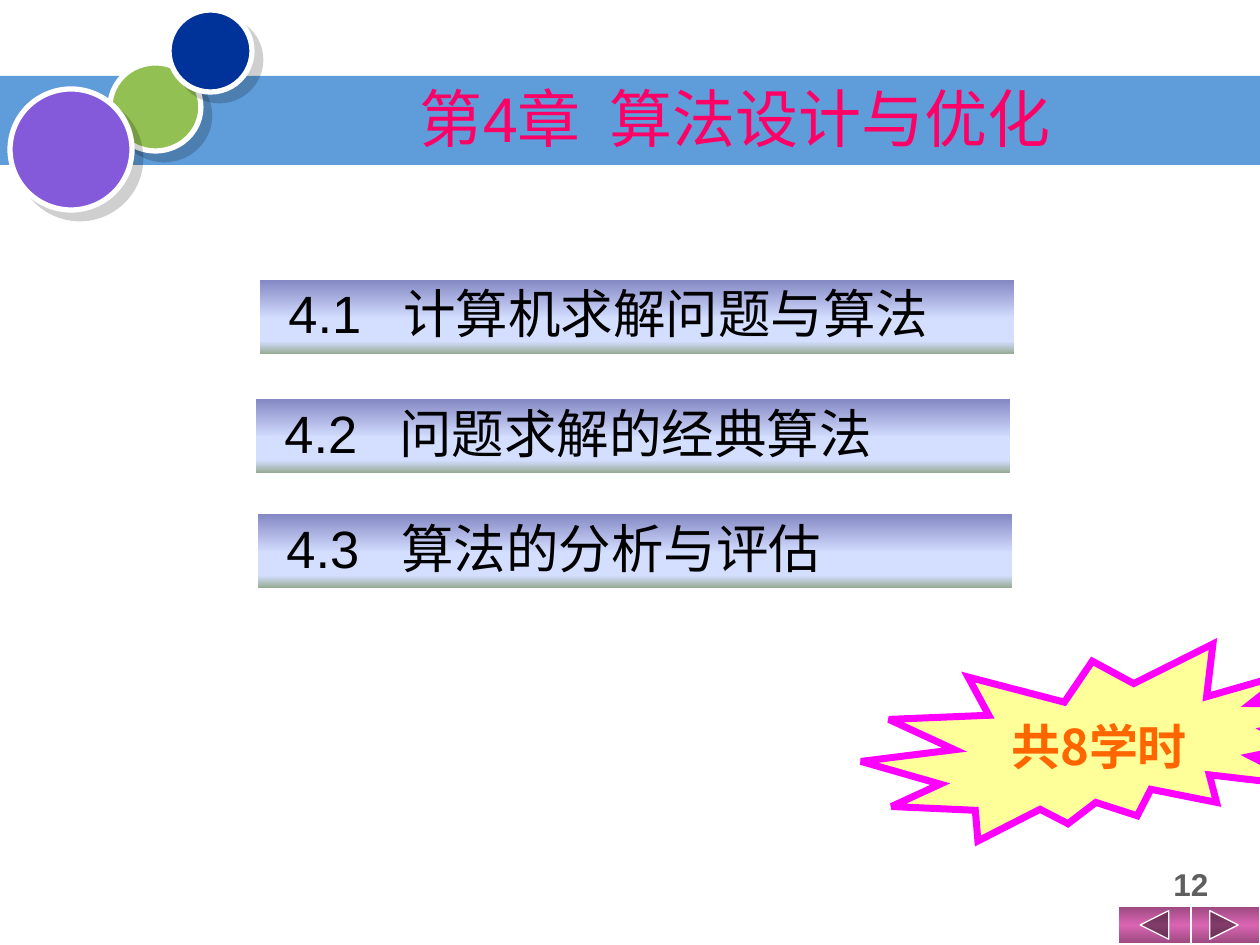
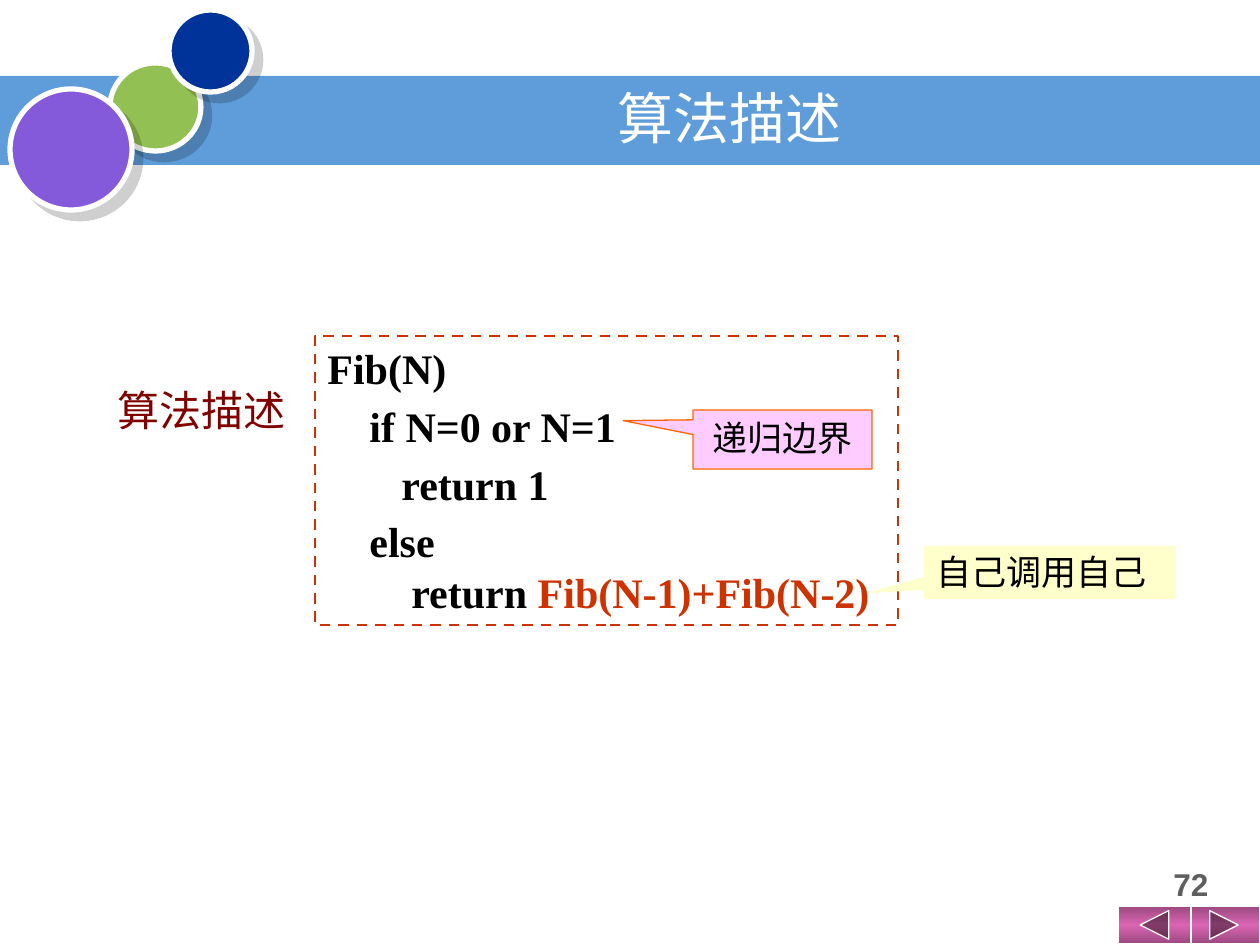
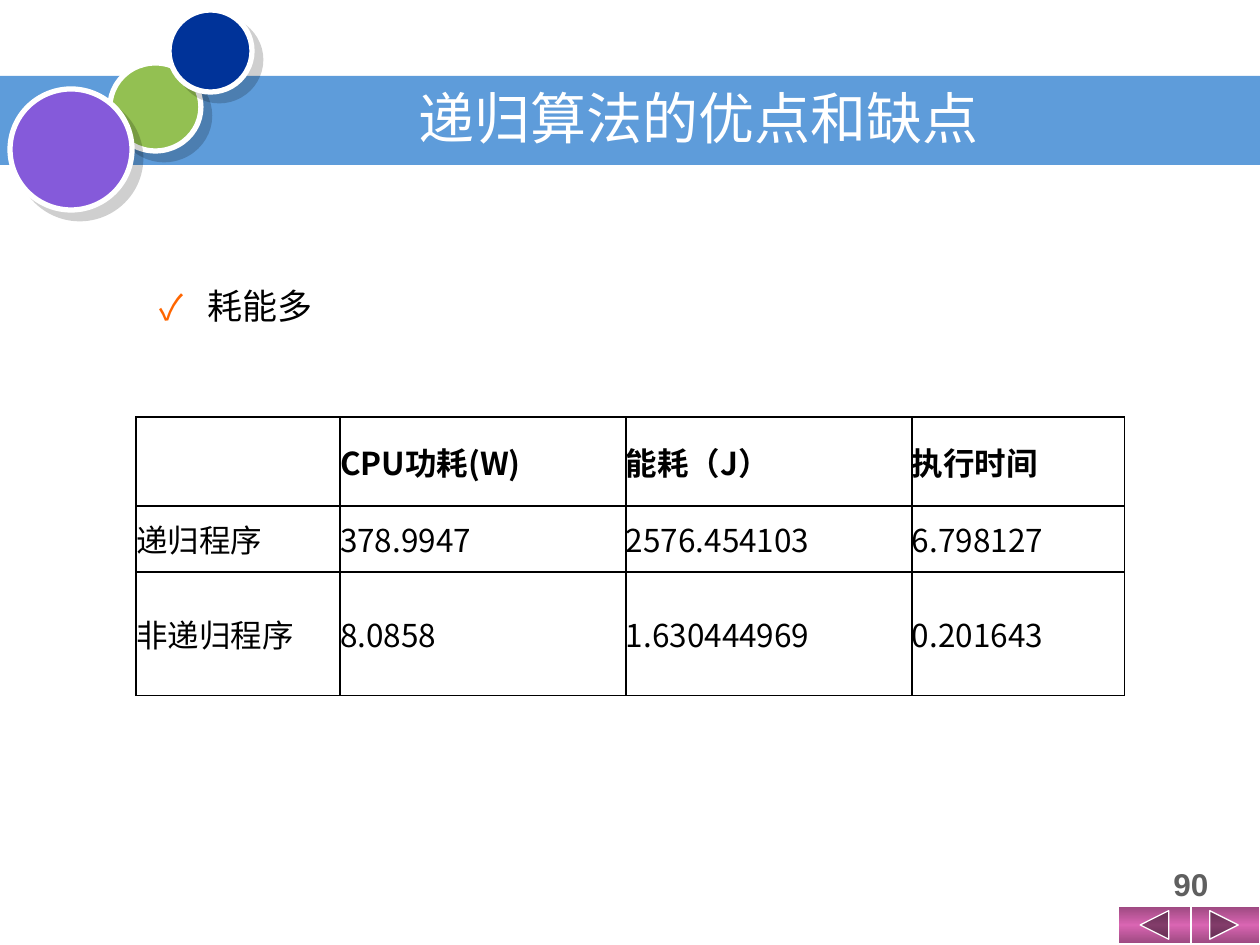
"""Build three slides on algorithm design: chapter contents, a recursive routine, its energy cost."""
from lxml import etree
from pptx import Presentation
from pptx.dml.color import RGBColor
from pptx.enum.dml import MSO_LINE
from pptx.enum.shapes import MSO_SHAPE
from pptx.enum.text import MSO_ANCHOR, PP_ALIGN
from pptx.oxml.ns import qn
from pptx.util import Pt

PX = 914400 / 126
SLIDE_W, SLIDE_H = 1260, 945

RECT, ELLIPSE = MSO_SHAPE.RECTANGLE, MSO_SHAPE.OVAL
SEAL, CALLOUT = MSO_SHAPE.EXPLOSION2, MSO_SHAPE.RECTANGULAR_CALLOUT
BACK, FORWARD = MSO_SHAPE.ACTION_BUTTON_BACK_OR_PREVIOUS, MSO_SHAPE.ACTION_BUTTON_FORWARD_OR_NEXT
LEFT, CENTER = PP_ALIGN.LEFT, PP_ALIGN.CENTER
TOP, MIDDLE, BOTTOM = MSO_ANCHOR.TOP, MSO_ANCHOR.MIDDLE, MSO_ANCHOR.BOTTOM
DASH = MSO_LINE.DASH

ARIAL, SERIF = "Arial", "Times New Roman"
HEI, HEI_JP = "Noto Sans CJK SC", "Noto Sans CJK JP"

BLACK = RGBColor(0x00, 0x00, 0x00)
WHITE = RGBColor(0xFF, 0xFF, 0xFF)
BAND_BLUE = RGBColor(0x5E, 0x9C, 0xDA)
GREEN = RGBColor(0x93, 0xC0, 0x52)
NAVY = RGBColor(0x00, 0x33, 0x99)
PURPLE = RGBColor(0x85, 0x5A, 0xDA)
PLUM = RGBColor(0x9B, 0x48, 0x7F)
PINK = RGBColor(0xD9, 0x65, 0xB2)
GREY = RGBColor(0x5F, 0x5F, 0x5F)
ROSE = RGBColor(0xFF, 0x00, 0x66)
SLATE = RGBColor(0x84, 0x88, 0xC4)
ICE = RGBColor(0xD4, 0xDE, 0xFF)
SAGE = RGBColor(0x96, 0xAB, 0x94)
YELLOW = RGBColor(0xFF, 0xFF, 0x99)
MAGENTA = RGBColor(0xFF, 0x00, 0xFF)
ORANGE = RGBColor(0xFF, 0x66, 0x00)
RUST = RGBColor(0xCC, 0x33, 0x00)
MAROON = RGBColor(0x80, 0x00, 0x00)
CREAM = RGBColor(0xFF, 0xFF, 0xCC)
LILAC = RGBColor(0xFF, 0xCC, 0xFF)

BUBBLES = [((110, 63, 91, 88), GREEN), ((169, 10, 83, 82), NAVY), ((10, 89, 122, 121), PURPLE)]
BUTTONS = [(FORWARD, (1188, 906, 72, 38)), (BACK, (1118, 906, 73, 38))]
BUTTON_STOPS = [(0, PLUM), (50, PINK), (100, PLUM)]
SECTION_STOPS = [(0, SLATE), (53, ICE), (83, ICE), (100, SAGE)]

SECTIONS = [
    ("4.1", "计算机求解问题与算法", (260, 280)),
    ("4.2", "问题求解的经典算法", (256, 399)),
    ("4.3", "算法的分析与评估", (258, 514)),
]
FIB_CODE = [
    (0, [("Fib(N)", BLACK)]),
    (42, [("if N=0 or N=1", BLACK)]),
    (74, [("return 1", BLACK)]),
    (42, [("else", BLACK)]),
    (84, [("return ", BLACK), ("Fib(N-1)+Fib(N-2)", RUST)]),
]
ENERGY_COLS = [204, 286, 286, 213]
ENERGY_ROWS = [89, 66, 124]
ENERGY = [
    ["", "CPU功耗(W)", "能耗（J）", "执行时间"],
    ["递归程序", "378.9947", "2576.454103", "6.798127"],
    ["非递归程序", "8.0858", "1.630444969", "0.201643"],
]


def px(length):
    return round(length * PX)


def box(bounds):
    return [px(length) for length in bounds]


def add_color(parent, color):
    return etree.SubElement(parent, qn("a:srgbClr"), val=str(color))


def add_figure(slide, kind, bounds, fill=None, line=None, width=0.75, stops=None):
    figure = slide.shapes.add_shape(kind, *box(bounds))
    figure.shadow.inherit = False
    if stops:
        set_gradient(figure, stops)
    elif fill is None:
        figure.fill.background()
    else:
        figure.fill.solid()
        figure.fill.fore_color.rgb = fill
    if line is None:
        figure.line.fill.background()
    else:
        figure.line.color.rgb = line
        figure.line.width = Pt(width)
    return figure


def set_gradient(figure, stops):
    figure.fill.gradient()
    figure.fill.gradient_angle = 270
    ramp = figure._element.spPr.find(qn("a:gradFill")).find(qn("a:gsLst"))
    for default in list(ramp):
        ramp.remove(default)
    for position, color in stops:
        add_color(etree.SubElement(ramp, qn("a:gs"), pos=str(position * 1000)), color)


def cast_shadow(figure):
    effects = figure._element.spPr.find(qn("a:effectLst"))
    shadow = etree.SubElement(effects, qn("a:outerShdw"), dist=str(Pt(7.1)), dir="2700000",
                              algn="ctr", rotWithShape="0")
    etree.SubElement(add_color(shadow, BLACK), qn("a:alpha"), val="19000")


def add_run(paragraph, text, size, color, font, bold=False):
    run = paragraph.add_run()
    run.text = text
    run.font.size = Pt(size)
    run.font.bold = bold
    run.font.color.rgb = color
    run.font.name = font
    east_asian = font if font in (HEI, HEI_JP) else HEI
    etree.SubElement(run._r.get_or_add_rPr(), qn("a:ea"), typeface=east_asian)
    return run


def set_indent(paragraph, margin, first=0):
    properties = paragraph._p.get_or_add_pPr()
    properties.set("marL", str(px(margin)))
    properties.set("indent", str(px(first)))
    return properties


def open_text(figure, align=LEFT, anchor=TOP, wrap=True):
    frame = figure.text_frame
    frame.word_wrap = wrap
    frame.vertical_anchor = anchor
    paragraph = frame.paragraphs[0]
    paragraph.alignment = align
    return paragraph


def add_label(slide, bounds, align=LEFT, anchor=TOP, wrap=True):
    return open_text(slide.shapes.add_textbox(*box(bounds)), align, anchor, wrap)


def add_base(deck, number, title_left, title_width):
    slide = deck.slides.add_slide(deck.slide_layouts[6])
    add_figure(slide, RECT, (0, 76, SLIDE_W, 89), BAND_BLUE)
    for bounds, color in BUBBLES:
        cast_shadow(add_figure(slide, ELLIPSE, bounds, color, WHITE, 3))
    for kind, bounds in BUTTONS:
        add_figure(slide, kind, bounds, line=WHITE, stops=BUTTON_STOPS)
    add_run(add_label(slide, (1122, 859, 138, 54), CENTER), number, 18, GREY, ARIAL, True)
    title = add_label(slide, (title_left, 84, title_width, 67), CENTER, MIDDLE)
    return slide, title


def build_contents(deck):
    slide, title = add_base(deck, "12", 231, 1008)
    add_run(title, "第4章", 36, ROSE, ARIAL)
    gap = add_run(title, " ", 36, ROSE, ARIAL)
    gap._r.get_or_add_rPr().set("spc", "800")
    add_run(title, "算法设计与优化", 36, ROSE, ARIAL)
    for number, topic, corner in SECTIONS:
        section = open_text(add_figure(slide, RECT, (*corner, 754, 74), stops=SECTION_STOPS))
        section.line_spacing = 0.95
        set_indent(section, 131, -115)
        add_run(section, f"{number}\t{topic}", 30, BLACK, ARIAL)
    hours = add_figure(slide, SEAL, (861, 644, 514, 197), YELLOW, MAGENTA, 4)
    etree.SubElement(hours._element.spPr.find(qn("a:ln")), qn("a:miter"), lim="800000")
    add_run(open_text(hours, CENTER, MIDDLE, False), "共8学时", 28, ORANGE, HEI_JP, True)


def build_fibonacci(deck):
    slide, title = add_base(deck, "72", 284, 892)
    add_run(title, "算法描述", 32, WHITE, HEI)
    listing = add_figure(slide, RECT, (315, 336, 583, 289), line=RUST, width=1.5)
    listing.line.dash_style = DASH
    line = open_text(listing)
    for index, (indent, pieces) in enumerate(FIB_CODE):
        if index:
            line = listing.text_frame.add_paragraph()
        line.alignment = LEFT
        line.space_before = Pt(4.3 if index < len(FIB_CODE) - 1 else 0)
        set_indent(line, indent)
        for text, color in pieces:
            add_run(line, text, 24, color, SERIF, True)
    add_run(add_label(slide, (105, 378, 195, 63), wrap=False), "算法描述", 24, MAROON, HEI)

    self_call = add_figure(slide, CALLOUT, (924, 546, 252, 53), CREAM)
    self_call.adjustments[0], self_call.adjustments[1] = -0.73, 0.39
    add_run(open_text(self_call, anchor=BOTTOM), "自己调用自己", 20, BLACK, HEI)
    base_case = add_figure(slide, CALLOUT, (693, 410, 179, 59), LILAC, ORANGE)
    base_case.adjustments[0], base_case.adjustments[1] = -0.89, -0.32
    add_run(open_text(base_case, CENTER), "递归边界", 20, BLACK, ARIAL)


def set_borders(cell):
    properties = cell._tc.get_or_add_tcPr()
    for index, side in enumerate(("a:lnL", "a:lnR", "a:lnT", "a:lnB")):
        border = etree.Element(qn(side), w=str(Pt(0.75)))
        add_color(etree.SubElement(border, qn("a:solidFill")), BLACK)
        properties.insert(index, border)


def build_energy(deck):
    slide, title = add_base(deck, "90", 284, 829)
    add_run(title, "递归算法的优点和缺点", 32, WHITE, HEI)
    drawback = add_label(slide, (147, 266, 1000, 67))
    drawback.line_spacing = Pt(31)
    bullet = set_indent(drawback, 48, -48)
    add_color(etree.SubElement(bullet, qn("a:buClr")), ORANGE)
    etree.SubElement(bullet, qn("a:buFont"), typeface=HEI)
    etree.SubElement(bullet, qn("a:buChar"), char="✓")
    add_run(drawback, "耗能多", 20, BLACK, HEI)

    bounds = (136, 417, sum(ENERGY_COLS), sum(ENERGY_ROWS))
    table = slide.shapes.add_table(len(ENERGY_ROWS), len(ENERGY_COLS), *box(bounds)).table
    table.first_row = table.horz_banding = False
    for column, width in zip(table.columns, ENERGY_COLS):
        column.width = px(width)
    for r, (height, values) in enumerate(zip(ENERGY_ROWS, ENERGY)):
        table.rows[r].height = px(height)
        for c, value in enumerate(values):
            cell = table.cell(r, c)
            cell.fill.background()
            set_borders(cell)
            cell.vertical_anchor = MIDDLE
            cell.margin_left = cell.margin_right = cell.margin_top = cell.margin_bottom = 0
            if value:
                add_run(cell.text_frame.paragraphs[0], value, 18, BLACK, HEI, r == 0)


def main():
    deck = Presentation()
    deck.slide_width, deck.slide_height = px(SLIDE_W), px(SLIDE_H)
    build_contents(deck)
    build_fibonacci(deck)
    build_energy(deck)
    deck.save("out.pptx")


if __name__ == "__main__":
    main()
